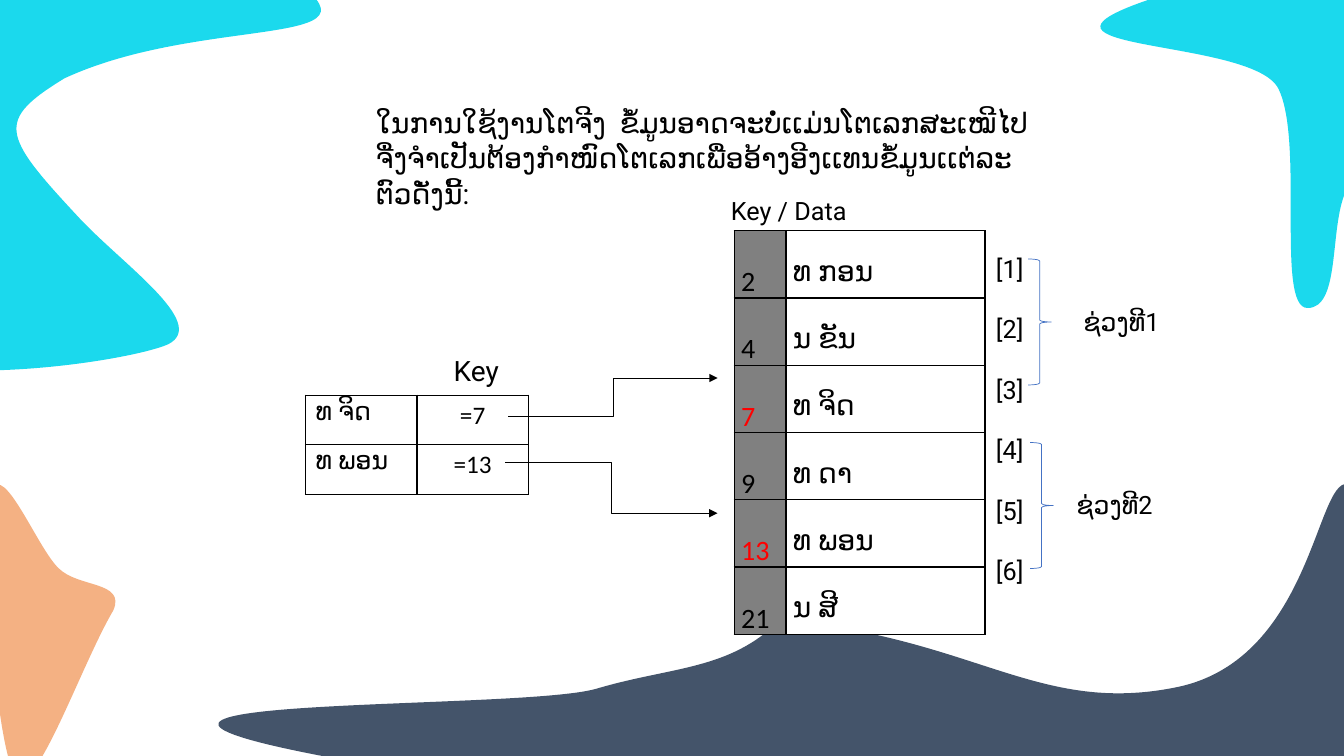
from collections import namedtuple
from dataclasses import dataclass

from lxml.etree import SubElement
from pptx import Presentation
from pptx.dml.color import RGBColor
from pptx.enum.shapes import MSO_CONNECTOR, MSO_SHAPE
from pptx.enum.text import MSO_AUTO_SIZE, PP_ALIGN
from pptx.oxml import parse_xml
from pptx.oxml.ns import nsdecls, qn
from pptx.util import Pt

Box = namedtuple("Box", "left top width height")


@dataclass(frozen=True)
class Theme:
    black: str = "000000"
    white: str = "FFFFFF"
    gray: str = "808080"
    red: str = "FF0000"
    cyan: str = "1BD9ED"
    navy: str = "44546A"
    peach: str = "F4B183"
    blue: str = "4472C4"
    text_font: str = "Roboto"
    table_font: str = "Calibri"
    large: int = 20
    medium: int = 18
    thin: float = 0.5


THEME = Theme()

# Outlines in points within their box: pairs are corners, sixes are curves
LEFT_BLOBS = [
    (Box(156, 345.5, 810, 194), THEME.navy, [
        (270, 146.5), (324, 130.5, 365, 133.5, 401, 97.5),
        (540, 109.5, 585, 165.5, 684, 145.5), (784, 125.5, 784, -12, 809, 1),
        (810, 194.5), (74, 194.5), (-155, 150.5, 215, 162.5, 270, 146.5)]),
    (Box(-127, -32, 356, 297), THEME.cyan, [
        (0, 1), (308, 0), (436, 73, 281, 38, 173, 88), (124, 118, 128, 128, 182, 186),
        (213, 220, 277, 263, 247, 278), (217, 291, 52, 316, 0, 271), (0, 1)]),
]
RIGHT_BLOB = (Box(786, 0, 174, 220), THEME.cyan, [
    (34, 0), (174, 0), (174, 140), (164, 167, 171, 220, 148, 220),
    (125, 220, 146, 100, 127, 63), (108, 27, -74, 37, 34, 0)])
CORNER_BLOB = (Box(-9, 346, 92, 210), THEME.peach, [
    (3, 4), (12, -16, 36, 46, 51, 60), (65, 74, 99, 69, 90, 90),
    (67, 129, 35, 223, 21, 209), (6, 195, -6, 24, 3, 4)])
INTRO = ("ໃນການໃຊ້ງານໂຕຈີງ  ຂໍ້ມູນອາດຈະບໍ່ເເມ່ນໂຕເລກສະເໝີໄປ "
         "ຈື່ງຈຳເປັນຕ້ອງກຳໜົດໂຕເລກເພື່ອອ້າງອີງເເທນຂໍ້ມູນເເຕ່ລະຕົວດັ່ງນີ້:")
RECORDS = [("2", "ທ ກອນ"), ("4", "ນ ຂັນ"), ("7", "ທ ຈິດ"),
           ("9", "ທ ດາ"), ("13", "ທ ພອນ"), ("21", "ນ ສີ")]
SEARCHED = [("ທ ຈິດ", "=7"), ("ທ ພອນ", "=13")]
SEARCHED_KEYS = {"7", "13"}


def apply_format(target, formats):
    for name, value in formats.items():
        setattr(target, name, value)


def format_text(paragraph, size, font_name, color=THEME.black, **layout):
    apply_format(paragraph, layout)
    apply_format(paragraph.font, {"size": Pt(size), "name": font_name, "bold": False})
    paragraph.font.color.rgb = RGBColor.from_string(color)


def set_line(shape, color):
    shape.line.color.rgb = RGBColor.from_string(color)
    shape.line.width = Pt(THEME.thin)


def add_text(slide, box, lines, size, **layout):
    frame = slide.shapes.add_textbox(*map(Pt, box)).text_frame
    apply_format(frame, {"word_wrap": True, "auto_size": MSO_AUTO_SIZE.SHAPE_TO_FIT_TEXT})
    frame.text = "\n".join(lines)
    for paragraph in frame.paragraphs:
        format_text(paragraph, size, THEME.text_font, **layout)
    return frame


def add_blob(slide, box, color, outline):
    """Closed outline whose sides may be cubic curves."""
    width, height = Pt(box.width), Pt(box.height)
    builder = slide.shapes.build_freeform(0, 0)
    builder.add_line_segments([(width, 0), (width, height), (0, height)], close=True)
    shape = builder.convert_to_shape(Pt(box.left), Pt(box.top))
    contour = next(shape._element.iter(qn("a:path")))
    for side in list(contour):
        contour.remove(side)
    for index, part in enumerate(outline):
        tag = "a:cubicBezTo" if len(part) == 6 else "a:lnTo" if index else "a:moveTo"
        side = SubElement(contour, qn(tag))
        for x, y in zip(part[::2], part[1::2]):
            SubElement(side, qn("a:pt"), x=str(int(Pt(x))), y=str(int(Pt(y))))
    SubElement(contour, qn("a:close"))
    shape.shadow.inherit = False
    shape.fill.solid()
    shape.fill.fore_color.rgb = RGBColor.from_string(color)
    shape.line.fill.background()


def set_borders(cell):
    properties = cell._tc.get_or_add_tcPr()
    for index, side in enumerate("LRTB"):
        properties.insert(index, parse_xml(
            f'<a:ln{side} {nsdecls("a")} w="{Pt(1)}"><a:solidFill>'
            f'<a:srgbClr val="{THEME.black}"/></a:solidFill></a:ln{side}>'))


def add_grid(slide, box, records, column_widths):
    """Bordered white table; returns its cells row by row."""
    table = slide.shapes.add_table(len(records), len(column_widths), *map(Pt, box)).table
    apply_format(table, {"first_row": False, "horz_banding": False})
    for column, width in zip(table.columns, column_widths):
        column.width = Pt(width)
    for row, record in zip(table.rows, records):
        row.height = Pt(box.height / len(records))
        for cell, text in zip(row.cells, record):
            cell.text = text
            cell.fill.solid()
            cell.fill.fore_color.rgb = RGBColor.from_string(THEME.white)
            set_borders(cell)
    return [list(row.cells) for row in table.rows]


def add_record_table(slide, box):
    margins = {"margin_left": Pt(5), "margin_right": Pt(5),
               "margin_top": 0, "margin_bottom": 0}
    key_width = 37
    for cells in add_grid(slide, box, RECORDS, [key_width, box.width - key_width]):
        key_cell = cells[0]
        key_cell.fill.fore_color.rgb = RGBColor.from_string(THEME.gray)
        for cell in cells:
            apply_format(cell, margins)
            color = THEME.red if cell.text in SEARCHED_KEYS else THEME.black
            format_text(cell.text_frame.paragraphs[0], THEME.large, THEME.table_font,
                        color, line_spacing=2.0)
    add_text(slide, Box(box.left - 9.4, box.top - 28.8, 129, 29), ["Key / Data"], THEME.medium)


def add_search_table(slide, box):
    for cells in add_grid(slide, box, SEARCHED, [box.width / 2] * 2):
        for cell, alignment in zip(cells, (PP_ALIGN.LEFT, PP_ALIGN.CENTER)):
            format_text(cell.text_frame.paragraphs[0], THEME.medium, THEME.table_font,
                        alignment=alignment)


def add_arrow(slide, start, end):
    arrow = slide.shapes.add_connector(MSO_CONNECTOR.ELBOW, *map(Pt, start + end))
    set_line(arrow, THEME.black)
    SubElement(arrow.line._get_or_add_ln(), qn("a:tailEnd"), type="triangle")
    SubElement(arrow._element.spPr, qn("a:effectLst"))


def add_positions(slide, box):
    labels = [f"[{number}]" for number in range(1, len(RECORDS) + 1)]
    frame = add_text(slide, box, labels, THEME.medium)
    for paragraph in frame.paragraphs[1:]:
        paragraph.space_before = Pt(21.6)


def add_brace(slide, box):
    brace = slide.shapes.add_shape(MSO_SHAPE.RIGHT_BRACE, *map(Pt, box))
    brace.shadow.inherit = False
    brace.fill.background()
    set_line(brace, THEME.blue)


def build_slide(presentation):
    slide = presentation.slides.add_slide(presentation.slide_layouts[6])
    # Background shapes behind the introduction
    for blob in [*LEFT_BLOBS, RIGHT_BLOB]:
        add_blob(slide, *blob)
    # Introduction
    add_text(slide, Box(261.4, 69.8, 483, 59), [INTRO], THEME.large,
             line_spacing=1.07, space_after=Pt(8))
    # Tables and the arrows between them
    add_record_table(slide, Box(524.4, 164.8, 179.2, 264))
    add_blob(slide, *CORNER_BLOB)
    add_search_table(slide, Box(218.2, 282.3, 159.2, 70.8))
    add_arrow(slide, (363.2, 297.4), (512.6, 270))
    add_arrow(slide, (361, 330.5), (512.6, 366.6))
    add_text(slide, Box(317, 249.1, 50.4, 32), ["Key"], THEME.large)
    # Ranges of positions
    for left, top in [(734.4, 185), (735.8, 316.1)]:
        add_brace(slide, Box(left, top, 16.5, 90))
    for left, top, label in [(766.8, 215.3, "ຊ່ວງທີ1"), (761.8, 345.8, "ຊ່ວງທີ2")]:
        add_text(slide, Box(left, top, 84, 29), [label], THEME.medium)
    add_positions(slide, Box(704.3, 177.3, 39.6, 247))


def main():
    presentation = Presentation()
    apply_format(presentation, {"slide_width": Pt(960), "slide_height": Pt(540)})
    build_slide(presentation)
    presentation.save("out.pptx")


if __name__ == "__main__":
    main()
